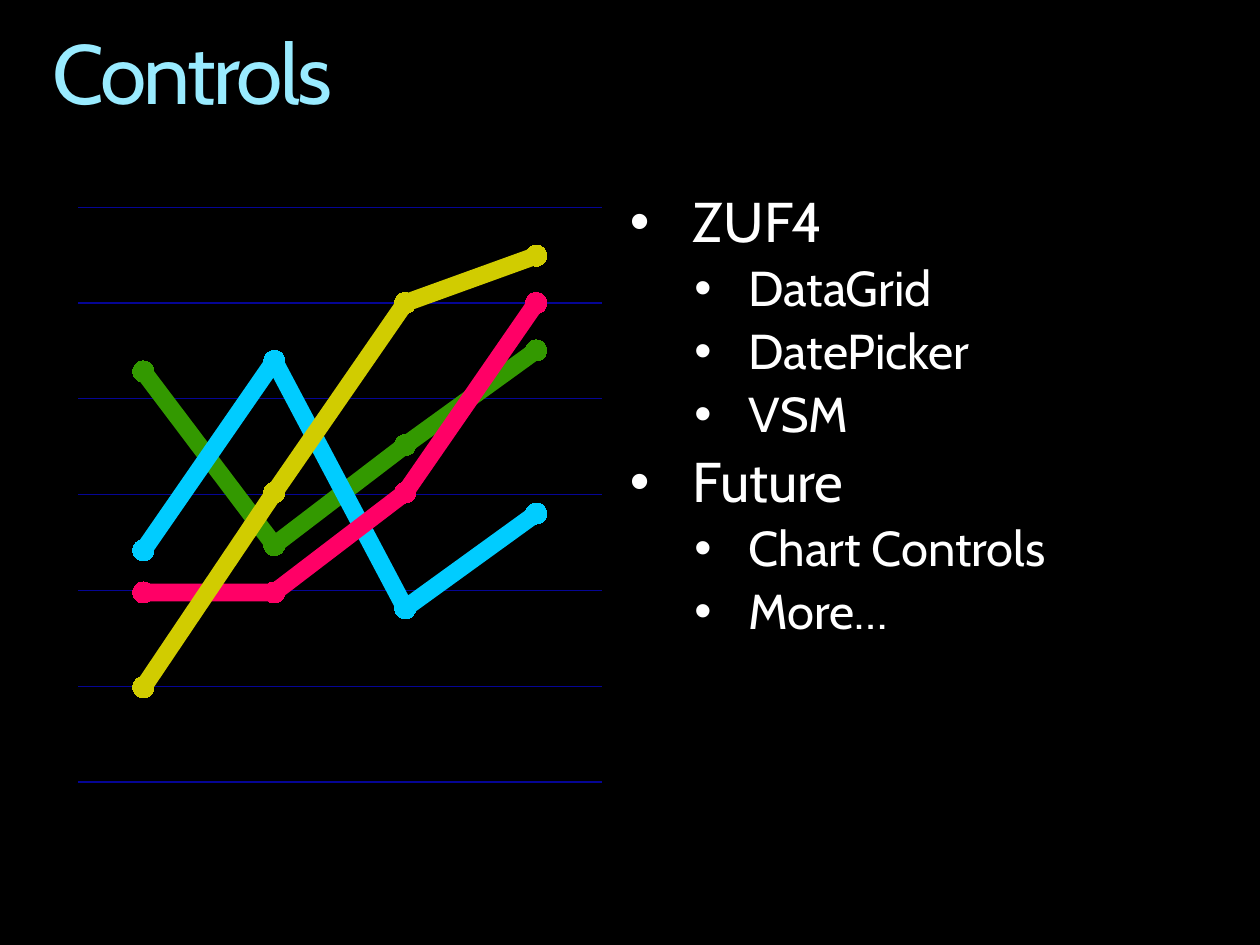
from dataclasses import dataclass
from lxml.etree import Element, SubElement as Sub
from pptx import Presentation as Deck
from pptx.chart.data import CategoryChartData as Data
from pptx.dml.color import RGBColor as Color
from pptx.enum.chart import XL_CHART_TYPE as Kind, XL_MARKER_STYLE as Mark
from pptx.enum.text import MSO_AUTO_SIZE as Fit
from pptx.oxml.ns import qn
from pptx.util import Cm, Pt


@dataclass(frozen=True)
class Theme:
    font: str = "Cabin"
    back: str = "000000"
    text: str = "FFFFFF"
    grid: str = "050595"
    glow: tuple = ((0, "66E0FF", 100), (36, "99EBFF", 100), (86, "66E0FF", 100))
    shade: tuple = ((0, "000000", 0), (50, "000000", 9), (100, "000000", 85))
    lines: tuple = ("339900", "00CCFF", "FF0066", "D1CC00")
    head: int = 48
    sizes: tuple = (32, 28)
    label: int = 18


THEME = Theme()
INDENT = ((1.27, 1.27), (2.39, 1.09))
POINTS = (
    ("ZUF4", 0), ("DataGrid", 1), ("DatePicker", 1), ("VSM", 1),
    ("Future", 0), ("Chart Controls", 1), ("More…", 1),
)
SERIES = (
    (78, 45, 64, 82), (44, 80, 33, 51),
    (36, 36, 55, 91), (18, 55, 91, 100),
)
STEP = 18.2


def tint(fill, code):
    fill.solid()
    fill.fore_color.rgb = Color.from_string(code)


def blend(stops):
    grad = Element(qn("a:gradFill"), rotWithShape="1")
    group = Sub(grad, qn("a:gsLst"))
    for place, code, alpha in stops:
        stop = Sub(group, qn("a:gs"), pos=str(place * 1000))
        shade = Sub(stop, qn("a:srgbClr"), val=code)
        if alpha < 100:
            Sub(shade, qn("a:alpha"), val=str(alpha * 1000))
    Sub(grad, qn("a:lin"), ang="5400000", scaled="0")
    return grad


def add_frame(slide, box):
    frame = slide.shapes.add_textbox(*map(Cm, box)).text_frame
    frame.word_wrap = True
    frame.auto_size = Fit.SHAPE_TO_FIT_TEXT
    frame.margin_left = frame.margin_right = 0
    frame.margin_top = frame.margin_bottom = 0
    return frame


def add_run(para, text, size):
    para.line_spacing = 0.9
    run = para.add_run()
    run.text = text
    run.font.name = THEME.font
    run.font.size = Pt(size)
    return run


def add_title(slide, box):
    para = add_frame(slide, box).paragraphs[0]
    props = add_run(para, "Controls", THEME.head).font._element
    props.set("spc", "-150")
    props.insert(0, blend(THEME.glow))


def add_list(slide, box):
    frame = add_frame(slide, box)
    for row, (text, level) in enumerate(POINTS):
        para = frame.add_paragraph() if row else frame.paragraphs[0]
        para.level = level
        run = add_run(para, text, THEME.sizes[level])
        tint(run.font.fill, THEME.text)
        left, hang = INDENT[level]
        props = para._p.get_or_add_pPr()
        props.set("marL", str(Cm(left)))
        props.set("indent", str(-Cm(hang)))
        Sub(Sub(props, qn("a:spcBef")), qn("a:spcPct"), val="20000")
        Sub(props, qn("a:buFont"), typeface="Arial")
        Sub(props, qn("a:buChar"), char="•")


def set_plot(chart):
    area = chart._chartSpace.chart.plotArea
    for old in area.findall(qn("c:layout")):
        area.remove(old)
    layout = Element(qn("c:layout"))
    area.insert(0, layout)
    inner = Sub(layout, qn("c:manualLayout"))
    parts = (
        ("layoutTarget", "inner"), ("xMode", "edge"), ("yMode", "edge"),
        ("x", "0.02"), ("y", "0.02"), ("w", "0.96"), ("h", "0.96"),
    )
    for name, value in parts:
        Sub(inner, qn(f"c:{name}"), val=value)
    Sub(area, qn("c:spPr")).append(blend(THEME.shade))


def add_graph(slide, box):
    data = Data()
    data.categories = ["1", "2", "3", "4"]
    for rank, values in enumerate(SERIES, 1):
        data.add_series(f"Series {rank}", values)
    chart = slide.shapes.add_chart(Kind.LINE_MARKERS, *map(Cm, box), data).chart
    chart.has_legend = chart.has_title = False
    chart.font.name = THEME.font
    chart.font.size = Pt(THEME.label)
    tint(chart.font.fill, THEME.text)
    axis = chart.value_axis
    axis.minimum_scale, axis.maximum_scale = 0, 6 * STEP
    axis.major_unit = STEP
    axis.has_major_gridlines = True
    grid = axis.major_gridlines.format.line
    tint(grid.fill, THEME.grid)
    grid.width = Pt(0.75)
    axis.visible = chart.category_axis.visible = False
    chart.plots[0].vary_by_categories = False
    for line, code in zip(chart.plots[0].series, THEME.lines):
        line.smooth = False
        line.format.line.width = Pt(10)
        line.marker.style, line.marker.size = Mark.CIRCLE, 12
        tint(line.format.line.fill, code)
        tint(line.marker.format.fill, code)
        line.marker.format.line.fill.background()
    set_plot(chart)


def main():
    deck = Deck()
    deck.slide_width, deck.slide_height = Cm(25.4), Cm(19.05)
    slide = deck.slides.add_slide(deck.slide_layouts[6])
    tint(slide.background.fill, THEME.back)
    add_title(slide, (1.06, 0.64, 23.28, 1.85))
    add_list(slide, (12.7, 3.91, 11.64, 6.15))
    add_graph(slide, (1.35, 3.94, 11, 12.07))
    deck.save("out.pptx")


if __name__ == "__main__":
    main()
